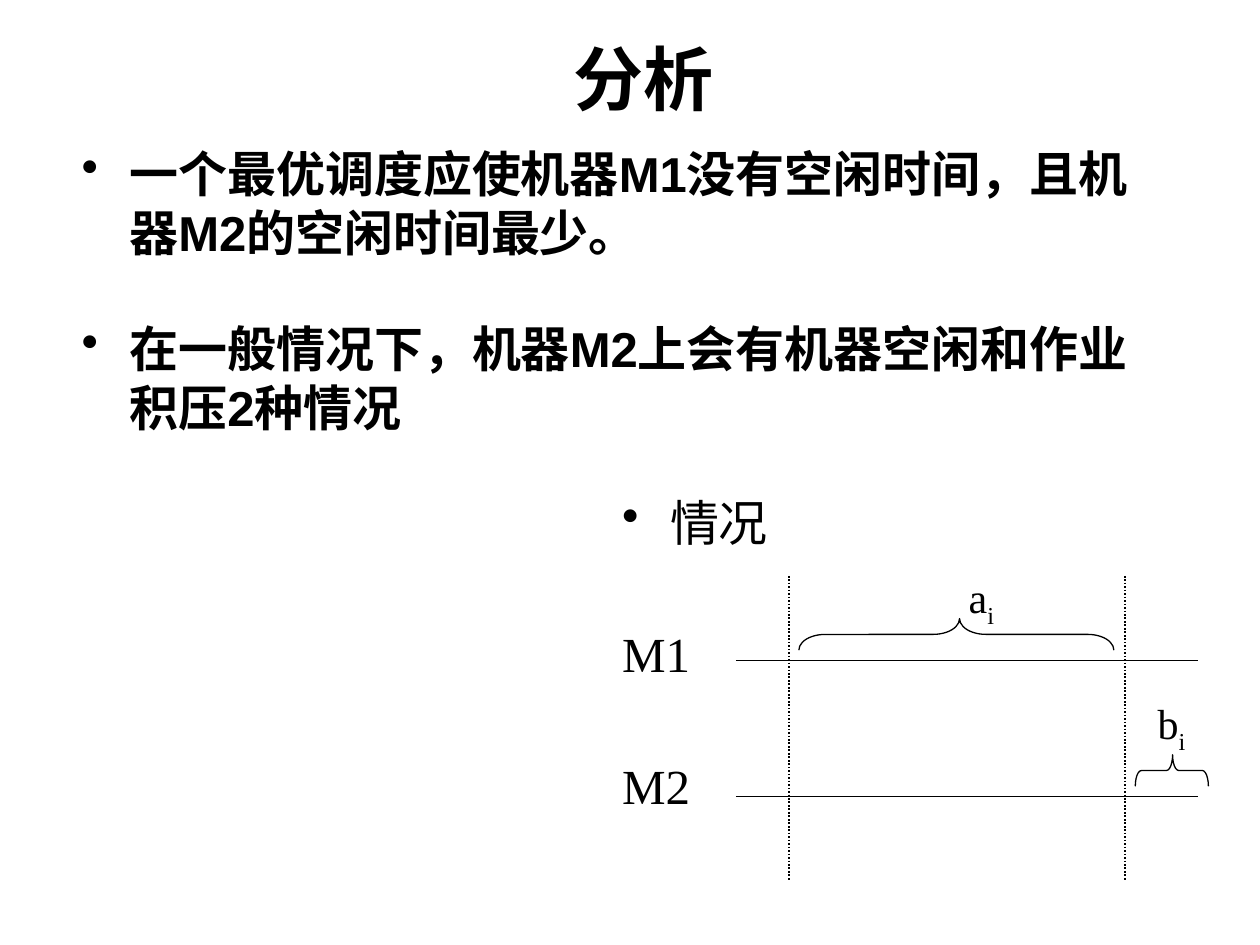
"""Build a slide on idle time and backlog in two-machine scheduling."""
import pptx
import pptx.dml.color
import pptx.enum.dml
import pptx.enum.shapes
import pptx.enum.text
import pptx.oxml.ns
import pptx.util
from lxml import etree

Inches = pptx.util.Inches
Pt = pptx.util.Pt
COLORS = {"ink": "000000"}
SERIF = "Times New Roman"
BULLET_INDENT = 0.38
BRACE_DEPTH = 0.25


class SlideBuilder:
    """Hold the style and current page, and draw each kind of element."""

    def __init__(self, page):
        self.page = page
        self.ink = pptx.dml.color.RGBColor.from_string(COLORS["ink"])

    def style_font(self, font, name, size, bold=False):
        """Set the typeface, size, weight and colour."""
        font.name = name
        font.size = Pt(size)
        font.bold = bold
        font.color.rgb = self.ink

    def text_frame(self, left, top, width, height):
        """Add a wrapping text box and return its frame."""
        box = self.page.shapes.add_textbox(
            Inches(left), Inches(top), Inches(width), Inches(height))
        box.text_frame.word_wrap = True
        return box.text_frame

    def title(self, text, left, top, width, height):
        """Add the centred heading."""
        para = self.text_frame(left, top, width, height).paragraphs[0]
        para.text = text
        para.alignment = pptx.enum.text.PP_ALIGN.CENTER
        self.style_font(para.font, "DejaVu Sans", 40, bold=True)

    def text_list(self, lines, area, name, gap, bold=False, spacing=None):
        """Add a list of (text, bulleted) lines with an even gap."""
        frame = self.text_frame(*area)
        for index, (text, bulleted) in enumerate(lines):
            para = frame.add_paragraph() if index else frame.paragraphs[0]
            para.text = text
            para.line_spacing = spacing
            if index:
                para.space_before = Pt(gap)
            if bulleted:
                self.bullet(para)
            self.style_font(para.font, name, 28, bold)

    def bullet(self, para):
        """Give a paragraph a round bullet and hanging indent."""
        properties = para._p.get_or_add_pPr()
        properties.set("marL", str(Inches(BULLET_INDENT)))
        properties.set("indent", str(-Inches(BULLET_INDENT)))
        etree.SubElement(
            properties, pptx.oxml.ns.qn("a:buChar")).set("char", "•")

    def subscript_label(self, letter, index, left, top):
        """Add a letter with a subscript index."""
        para = self.text_frame(left, top, 0.5, 0.56).paragraphs[0]
        para.add_run().text = letter
        span = para.add_run()
        span.text = index
        span.font._element.set("baseline", "-25000")
        self.style_font(para.font, SERIF, 24)

    def line(self, start, end, width=0.75, dash=None):
        """Add a straight line."""
        line = self.page.shapes.add_connector(
            pptx.enum.shapes.MSO_CONNECTOR.STRAIGHT,
            *(Inches(value) for value in (*start, *end)))
        line.line.color.rgb = self.ink
        line.line.width = Pt(width)
        if dash is not None:
            line.line.dash_style = dash
        etree.SubElement(
            line._element.spPr, pptx.oxml.ns.qn("a:effectLst"))

    def brace(self, left, top, length):
        """Add a horizontal brace that points up."""
        shift = (length - BRACE_DEPTH) / 2
        brace = self.page.shapes.add_shape(
            pptx.enum.shapes.MSO_SHAPE.LEFT_BRACE,
            Inches(left + shift), Inches(top - shift),
            Inches(BRACE_DEPTH), Inches(length))
        brace.rotation = 90
        brace.adjustments[0] = length / BRACE_DEPTH / 12
        brace.adjustments[1] = 0.49
        brace.shadow.inherit = False
        brace.fill.background()
        brace.line.color.rgb = self.ink
        brace.line.width = Pt(0.75)


def main():
    """Build and save the deck."""
    deck = pptx.Presentation()
    deck.slide_width = Inches(10)
    deck.slide_height = Inches(7.5)
    builder = SlideBuilder(deck.slides.add_slide(deck.slide_layouts[6]))

    builder.title("分析", 0.86, 0.23, 8.5, 0.86)
    builder.text_list(
        [("一个最优调度应使机器M1没有空闲时间，且机器M2的空闲时间最少。", True),
         ("在一般情况下，机器M2上会有机器空闲和作业积压2种情况", True)],
        (0.55, 1.09, 8.5, 4.83), "Arial", gap=33, bold=True)
    builder.text_list(
        [("情况", True), ("M1", False), ("M2", False)],
        (4.84, 3.91, 4.17, 0.67), SERIF, gap=45, spacing=0.9)

    for machine_y in (5.24, 6.32):
        builder.line((5.84, machine_y), (9.51, machine_y))
    for time_x in (6.26, 8.93):
        builder.line((time_x, 4.57), (time_x, 6.99), width=1,
                     dash=pptx.enum.dml.MSO_LINE.ROUND_DOT)
    for letter, label_x, label_y, brace_x, brace_y, length in (
            ("a", 7.59, 4.49, 6.34, 4.91, 2.5),
            ("b", 9.09, 5.49, 9.01, 5.99, 0.58)):
        builder.brace(brace_x, brace_y, length)
        builder.subscript_label(letter, "i", label_x, label_y)

    deck.save("out.pptx")


if __name__ == "__main__":
    main()
